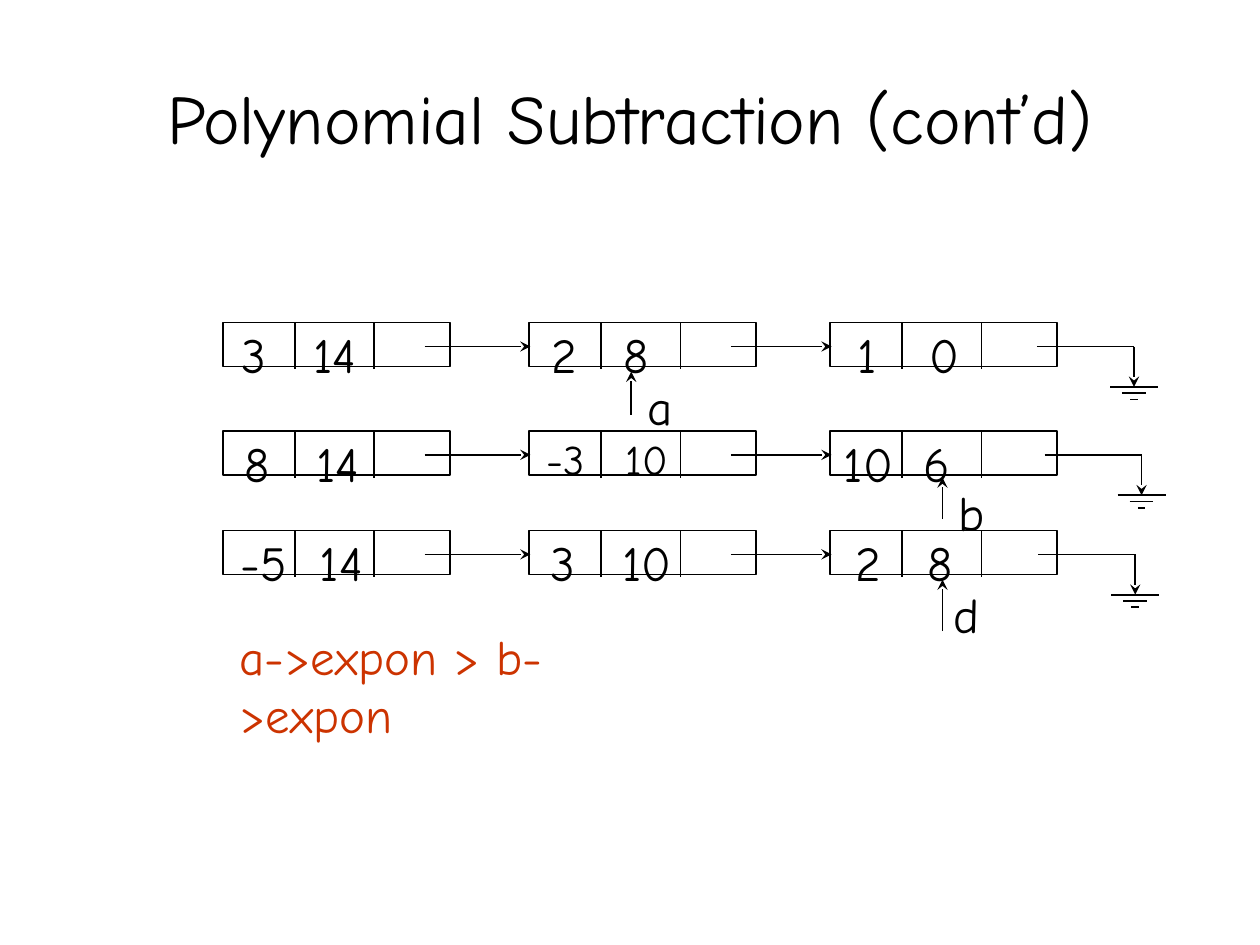
"""Build the slide on polynomial subtraction with linked lists."""
from lxml.etree import SubElement
from pptx import Presentation
from pptx.dml.color import RGBColor
from pptx.enum.shapes import MSO_CONNECTOR, MSO_SHAPE
from pptx.enum.text import MSO_ANCHOR, PP_ALIGN
from pptx.oxml.ns import qn
from pptx.util import Emu, Inches, Pt

COLORS = {"ink": "000000", "condition": "CC3300"}
FONT = "Comic Neue"
COLUMNS = (1.77, 4.2, 6.59)
ROWS = (2.56, 3.42, 4.21)
NODE_WIDTH, NODE_HEIGHT = 1.8, 0.35
DIVIDERS = (0.57, 1.2)
LINK_DROP = 0.19
GROUND_DROP = 0.51
GROUND_WIDTHS = (0.38, 0.19, 0.06)
GROUNDS = (9, 9.06, 9.01)

POLYNOMIALS = (
    (("3", "14", 0.05), ("2", "8", 0.08), ("1", "0", 0.12)),
    (("8", "14", 0.07), ("-3", "10", 0.04), ("10", "6", 0.01)),
    (("-5", "14", 0.04), ("3", "10", 0.07), ("2", "8", 0.1)),
)
POINTERS = (
    ("a", 5.01, 2.95, 0.34, 0.03),
    ("b", 7.48, 3.79, 0.33, 0.03),
    ("d", 7.48, 4.6, 0.41, -0.01),
)


def style(paragraph, size, color="ink"):
    """Set the font of a whole paragraph."""
    paragraph.font.name = FONT
    paragraph.font.size = Pt(size)
    paragraph.font.color.rgb = RGBColor.from_string(COLORS[color])


def add_label(slide, text, left, top, width, size=28, color="ink", height=0.57):
    """Add a line of text and return its paragraph."""
    label = slide.shapes.add_textbox(
        Inches(left), Inches(top), Inches(width), Inches(height))
    label.text_frame.word_wrap = True
    paragraph = label.text_frame.paragraphs[0]
    paragraph.text = text
    style(paragraph, size, color)
    return paragraph


def add_line(slide, start, end, arrow=False):
    """Draw a thin line, with a stealth arrowhead at its end if asked."""
    line = slide.shapes.add_connector(
        MSO_CONNECTOR.STRAIGHT, *(Inches(length) for length in (*start, *end)))
    line.line.color.rgb = RGBColor.from_string(COLORS["ink"])
    line.line.width = Pt(1)
    if arrow:
        SubElement(line.line._get_or_add_ln(), qn("a:tailEnd"), type="stealth")
    SubElement(line._element.spPr, qn("a:effectLst"))


def add_node(slide, left, top, coefficient, exponent, inset):
    """Draw a list node with its coefficient, exponent and link cells."""
    node = slide.shapes.add_shape(
        MSO_SHAPE.RECTANGLE, Inches(left), Inches(top),
        Inches(NODE_WIDTH), Inches(NODE_HEIGHT))
    node.shadow.inherit = False
    node.fill.background()
    node.line.color.rgb = RGBColor.from_string(COLORS["ink"])
    node.line.width = Pt(1)
    for divider in DIVIDERS:
        x = left + divider
        add_line(slide, (x, top), (x, top + NODE_HEIGHT + 0.02))
    size = 24 if coefficient == "-3" else 28
    term = add_label(slide, f"{coefficient}\t{exponent}", left + inset,
                     top - 0.03, 1.5, size)
    stop = 0.57 if len(coefficient) == 1 else 0.63
    properties = term._p.get_or_add_pPr()
    tabs = SubElement(properties, qn("a:tabLst"))
    SubElement(tabs, qn("a:tab"), pos=str(Inches(stop)), algn="l")
    properties.insert(0, tabs)


def add_ground(slide, center, top):
    """End a list with a wire down to a ground symbol."""
    wire, ground = top + LINK_DROP, top + GROUND_DROP
    add_line(slide, (center - 0.77, wire), (center, wire))
    add_line(slide, (center, wire), (center, ground), arrow=True)
    for step, width in enumerate(GROUND_WIDTHS):
        y = ground + 0.05 * step
        add_line(slide, (center - width / 2, y), (center + width / 2, y))


def add_polynomial(slide, terms, top, ground):
    """Draw one polynomial as a linked list."""
    for left, term in zip(COLUMNS, terms):
        add_node(slide, left, top, *term)
    link = top + LINK_DROP
    for left, following in zip(COLUMNS, COLUMNS[1:]):
        add_line(slide, (left + 1.6, link), (following + 0.01, link), arrow=True)
    add_ground(slide, ground, top)


def add_pointer(slide, name, x, tip, length, offset):
    """Draw a named pointer up to a node."""
    add_line(slide, (x, tip + length), (x, tip), arrow=True)
    add_label(slide, name, x + offset, tip - 0.01, 0.4)


def add_title(slide, text):
    """Place and format the title."""
    title = slide.shapes.title
    title.left, title.top = Inches(0.5), Inches(0.3)
    title.width, title.height = Inches(9), Inches(1.25)
    title.text_frame.vertical_anchor = MSO_ANCHOR.MIDDLE
    paragraph = title.text_frame.paragraphs[0]
    paragraph.text = text
    paragraph.alignment = PP_ALIGN.CENTER
    style(paragraph, 39.6)


def main():
    """Build and save the slide."""
    deck = Presentation()
    deck.slide_width, deck.slide_height = Emu(Inches(10)), Emu(Inches(7.5))
    slide = deck.slides.add_slide(deck.slide_layouts[5])
    add_title(slide, "Polynomial Subtraction (cont\u2019d)")
    for terms, top, ground in zip(POLYNOMIALS, ROWS, GROUNDS):
        add_polynomial(slide, terms, top, ground)
    for pointer in POINTERS:
        add_pointer(slide, *pointer)
    add_label(slide, "a->expon > b->expon", 1.8, 4.92, 3.75, color="condition")
    deck.save("out.pptx")


main()
